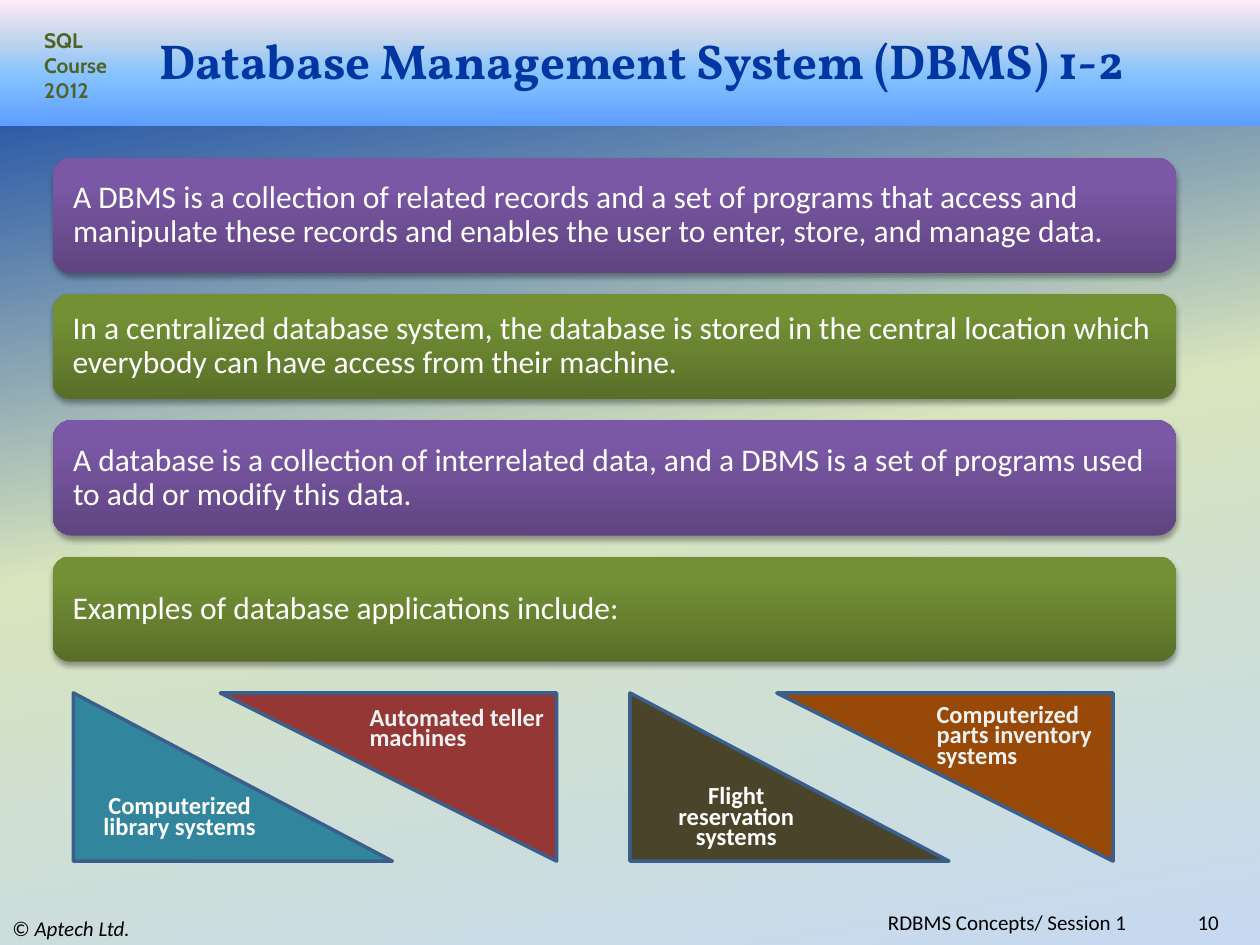
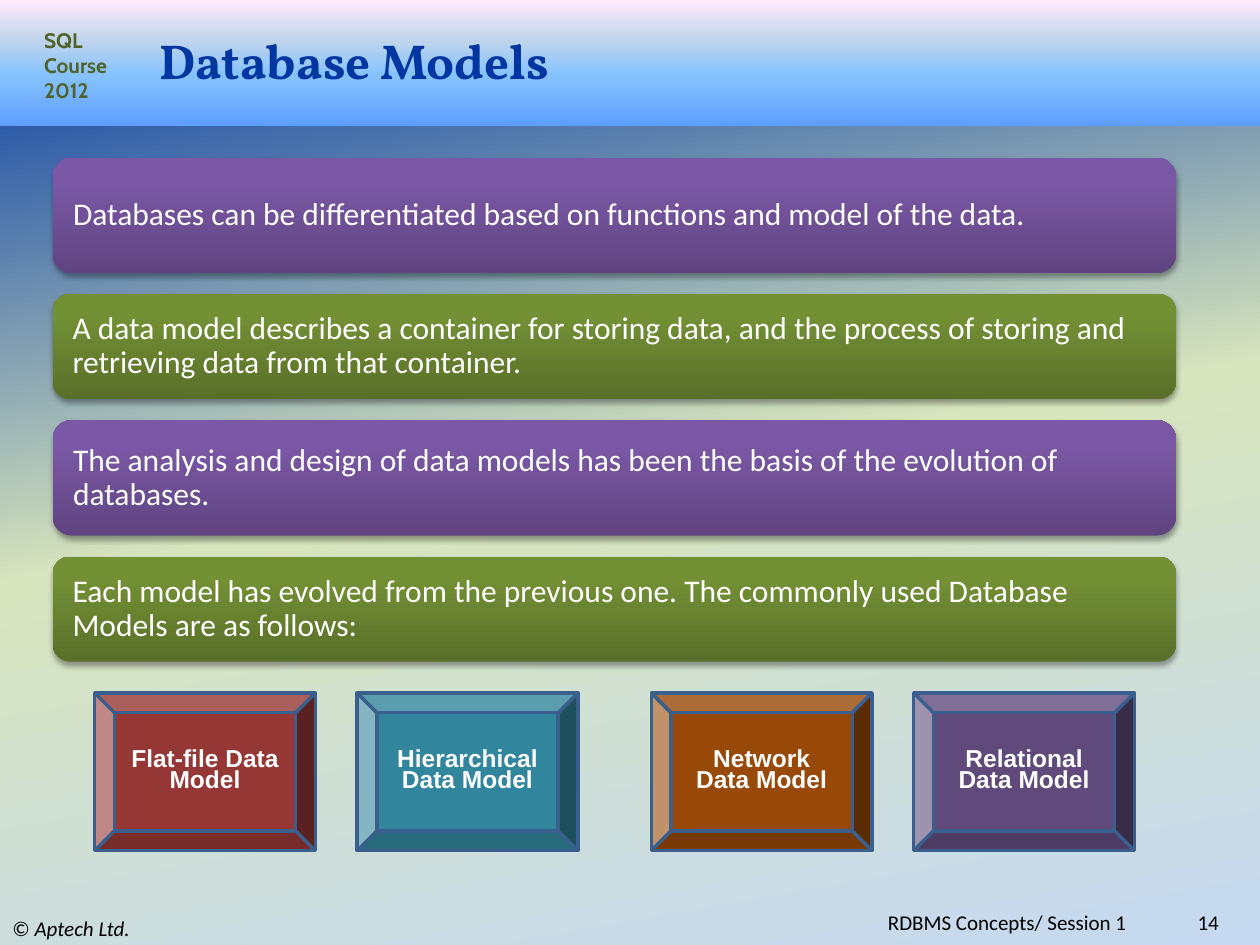
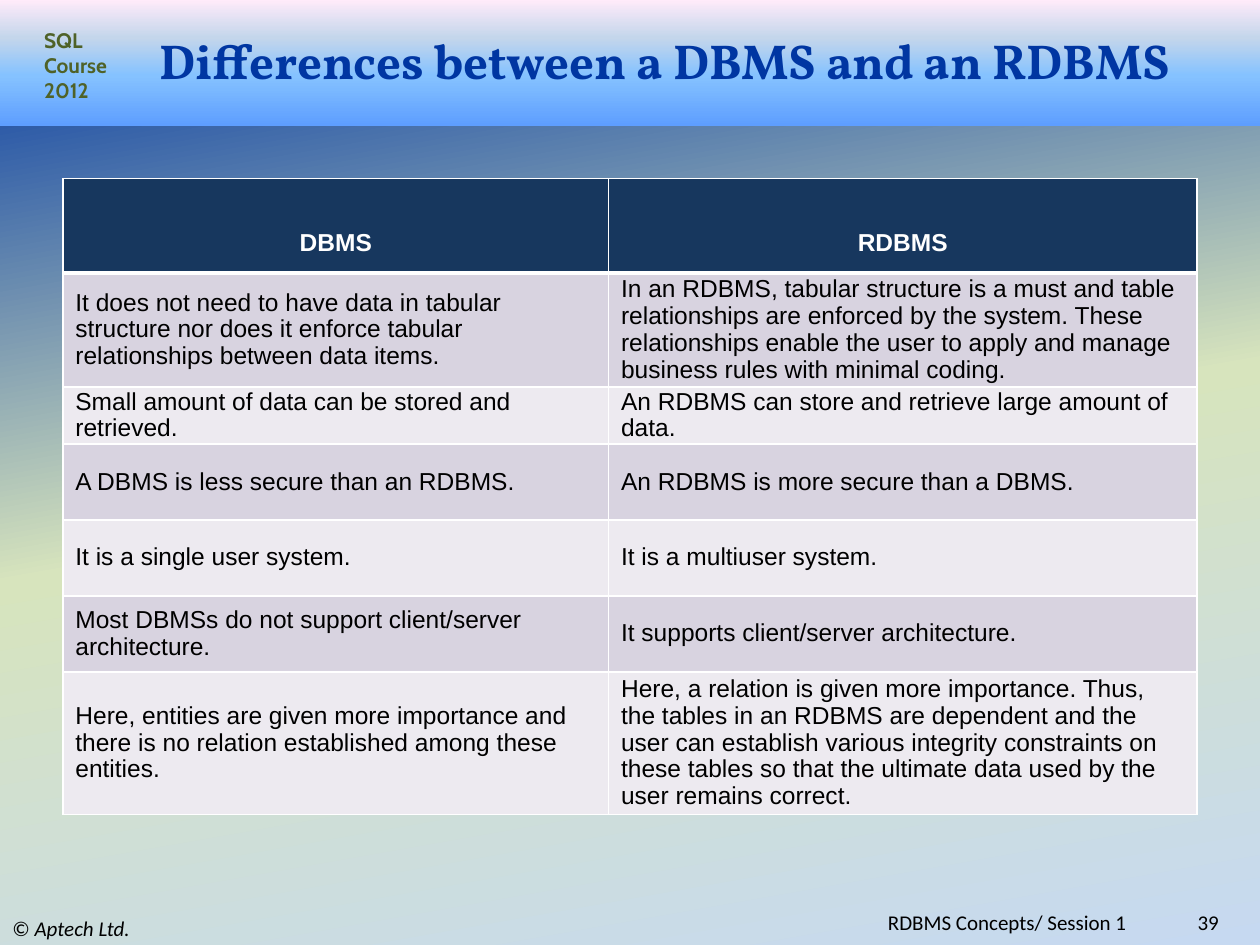
from lxml import etree
from pptx import Presentation
from pptx.dml.color import RGBColor
from pptx.enum.shapes import MSO_SHAPE
from pptx.enum.text import MSO_ANCHOR, PP_ALIGN
from pptx.oxml import parse_xml
from pptx.oxml.ns import nsdecls, qn
from pptx.util import Cm, Pt

LEFT, CENTER, RIGHT = PP_ALIGN.LEFT, PP_ALIGN.CENTER, PP_ALIGN.RIGHT
TOP, MIDDLE, BOTTOM = MSO_ANCHOR.TOP, MSO_ANCHOR.MIDDLE, MSO_ANCHOR.BOTTOM
RECTANGLE, ROUNDED = MSO_SHAPE.RECTANGLE, MSO_SHAPE.ROUNDED_RECTANGLE
TRIANGLE, BEVEL = MSO_SHAPE.RIGHT_TRIANGLE, MSO_SHAPE.BEVEL

COLORS = {
    "title": "0036A2", "course": "4F6228", "black": "000000", "white": "FFFFFF",
    "pale": "F2F2F2", "outline": "3A5F8C", "teal": "31859C", "red": "953735",
    "olive": "4A452A", "brown": "984807", "violet": "604A7B",
    "header": "17375E", "row dark": "D8D3E0", "row light": "EDEAF0",
}
GRADIENTS = {
    "page": [(0, "0036A2"), (50, "D7E4BD"), (100, "C6D9F1")],
    "band": [(0, "5E9EFF"), (40, "85C2FF"), (70, "C4D6EB"), (100, "FFEBFA")],
    "purple": [(0, "5F4480"), (80, "7B58A6"), (100, "7C57A8")],
    "green": [(0, "596F29"), (80, "739035"), (100, "749334")],
}
FONTS = {
    "title": {"name": "Vollkorn", "size": Pt(28), "bold": True},
    "course": {"name": "Cabin", "size": Pt(12), "bold": True},
    "footer": {"name": "Calibri", "size": Pt(12)},
    "bar": {"name": "Calibri", "size": Pt(18)},
    "example": {"name": "Calibri", "size": Pt(14), "bold": True},
    "model": {"name": "Arial", "size": Pt(14), "bold": True},
    "cell": {"name": "Arial", "size": Pt(14), "bold": False},
}
BAR_TIGHT, LABEL_TIGHT, CELL_TIGHT = 0.9, 0.7, 0.97

BAR_LEFT, BAR_TOP, BAR_WIDTH, BAR_GAP = 1.06, 3.18, 22.65, 0.42
BAR_STYLES = [("purple", 2.33), ("green", 2.12)]
FIGURE_TOP = 13.97
PAIR_STEP = 11.22


def set_all(target, values):
    for name, value in values.items():
        setattr(target, name, value)


def fill_gradient(fill, element, stops, angle):
    """Give a fill any number of stops; the angle runs counterclockwise."""
    fill.gradient()
    fill.gradient_angle = angle
    stop_list = next(element.iter(qn("a:gsLst")))
    for stop in list(stop_list):
        stop_list.remove(stop)
    for position, color in stops:
        stop = etree.SubElement(stop_list, qn("a:gs"), pos=str(position * 1000))
        etree.SubElement(stop, qn("a:srgbClr"), val=color)


class Deck:
    def __init__(self):
        self.presentation = Presentation()
        set_all(self.presentation, {"slide_width": Cm(25.4), "slide_height": Cm(19.05)})
        self.slide = None

    def put_text(self, frame, text, font, color, align=LEFT, spacing=None):
        """Put one paragraph in a frame; text may be a list of (words, italic)."""
        para = frame.paragraphs[0]
        set_all(para, {"alignment": align, "line_spacing": spacing})
        spans = [(text, False)] if isinstance(text, str) else text
        for words, italic in spans:
            span = para.add_run()
            span.text = words
            set_all(span.font, {**FONTS[font], "italic": italic})
            span.font.color.rgb = RGBColor.from_string(COLORS[color])

    def label(self, place, text, font, color, anchor=TOP, **layout):
        box = self.slide.shapes.add_textbox(*map(Cm, place))
        set_all(box.text_frame, {"word_wrap": True, "vertical_anchor": anchor})
        self.put_text(box.text_frame, text, font, color, **layout)

    def shape(self, kind, place, margin=None):
        box = self.slide.shapes.add_shape(kind, *map(Cm, place))
        box.shadow.inherit = False
        box.line.fill.background()
        set_all(box.text_frame, {"word_wrap": True, "vertical_anchor": MIDDLE})
        if margin is not None:
            sides = ("margin_left", "margin_top", "margin_right", "margin_bottom")
            set_all(box.text_frame, dict.fromkeys(sides, Cm(margin)))
        return box

    def gradient_shape(self, kind, place, gradient, margin=None):
        box = self.shape(kind, place, margin)
        fill_gradient(box.fill, box.element, GRADIENTS[gradient], 90)
        return box

    def outlined_shape(self, kind, place, color, margin=None):
        box = self.shape(kind, place, margin)
        box.fill.solid()
        box.fill.fore_color.rgb = RGBColor.from_string(COLORS[color])
        box.line.color.rgb = RGBColor.from_string(COLORS["outline"])
        box.line.width = Pt(2)
        return box

    def start_slide(self, title, number):
        """Add a slide with the background, band, title and footers."""
        self.slide = self.presentation.slides.add_slide(self.presentation.slide_layouts[6])
        fill_gradient(self.slide.background.fill, self.slide.element, GRADIENTS["page"], 280)
        self.gradient_shape(RECTANGLE, (0, 0, 25.4, 2.54), "band")
        self.label((0.64, 0.43, 1.9, 1.8), "SQL Course 2012", "course", "course")
        self.label((2.97, 0.64, 21.6, 1.14), title, "title", "title", MIDDLE)
        self.label((0, 18.36, 8.46, 0.69), [("© ", False), ("Aptech Ltd.", True)],
                   "footer", "black", MIDDLE)
        self.label((6.35, 18.36, 16.61, 0.46), "RDBMS Concepts/ Session 1",
                   "footer", "black", MIDDLE, align=RIGHT)
        self.label((22.66, 18.36, 2.16, 0.46), str(number),
                   "footer", "black", MIDDLE, align=RIGHT)

    def bars(self, texts):
        """Stack shadowed bars in alternating styles."""
        top = BAR_TOP
        for index, text in enumerate(texts):
            gradient, height = BAR_STYLES[index % 2]
            bar = self.gradient_shape(ROUNDED, (BAR_LEFT, top, BAR_WIDTH, height), gradient, 0.3)
            bar.element.spPr.find(qn("a:effectLst")).append(parse_xml(
                f'<a:outerShdw {nsdecls("a")} blurRad="{Pt(3.1)}" dist="{Pt(1.8)}" '
                'dir="5400000" rotWithShape="0"><a:srgbClr val="000000">'
                '<a:alpha val="35000"/></a:srgbClr></a:outerShdw>'))
            self.put_text(bar.text_frame, text, "bar", "white", spacing=BAR_TIGHT)
            top += height + BAR_GAP

    def triangle_pair(self, left, lower, upper, label_place):
        """Draw two facing triangles; lower and upper are (text, color)."""
        text, color = lower
        box = self.outlined_shape(TRIANGLE, (left, FIGURE_TOP, 6.43, 3.39), color, 0)
        self.put_text(box.text_frame, text, "example", "white", CENTER, LABEL_TIGHT)
        text, color = upper
        box = self.outlined_shape(TRIANGLE, (left + 2.96, FIGURE_TOP, 6.78, 3.39), color)
        box.rotation = 180
        self.label(label_place, text, "example", "pale", spacing=LABEL_TIGHT)

    def bevel(self, left, text, color):
        box = self.outlined_shape(BEVEL, (left, FIGURE_TOP, 4.45, 3.18), color)
        self.put_text(box.text_frame, text, "model", "white", CENTER, LABEL_TIGHT)

    def border(self, cell, row):
        """Rule a cell in white, thicker under the header row."""
        properties = cell._tc.get_or_add_tcPr()
        for side in "LRTB":
            width = Pt(3) if (row, side) in ((0, "B"), (1, "T")) else Pt(1)
            line = etree.SubElement(properties, qn(f"a:ln{side}"), w=str(width))
            solid = etree.SubElement(line, qn("a:solidFill"))
            etree.SubElement(solid, qn("a:srgbClr"), val=COLORS["white"])

    def table(self, place, widths, heights, rows):
        size = (sum(widths), sum(heights))
        table = self.slide.shapes.add_table(
            len(rows), len(widths), *map(Cm, place + size)).table
        for column, width in zip(table.columns, widths):
            column.width = Cm(width)
        for index, (texts, height) in enumerate(zip(rows, heights)):
            table.rows[index].height = Cm(height)
            header = index == 0
            color = "header" if header else ("row light", "row dark")[index % 2]
            for cell, text in zip(table.rows[index].cells, texts):
                self.border(cell, index)
                set_all(cell, {
                    "margin_left": Cm(0.25), "margin_right": Cm(0.25), "margin_top": 0,
                    "margin_bottom": Cm(0.32 if header else 0),
                    "vertical_anchor": BOTTOM if header else MIDDLE,
                })
                cell.fill.solid()
                cell.fill.fore_color.rgb = RGBColor.from_string(COLORS[color])
                if header:
                    self.put_text(cell.text_frame, text, "model", "white", CENTER, CELL_TIGHT)
                else:
                    self.put_text(cell.text_frame, text, "cell", "black", spacing=CELL_TIGHT)


def add_dbms_slide(deck):
    deck.start_slide("Database Management System (DBMS) 1-2", 10)
    deck.bars([
        "A DBMS is a collection of related records and a set of programs that access and "
        "manipulate these records and enables the user to enter, store, and manage data.",
        "In a centralized database system, the database is stored in the central location "
        "which everybody can have access from their machine.",
        "A database is a collection of interrelated data, and a DBMS is a set of programs "
        "used to add or modify this data.",
        "Examples of database applications include:",
    ])
    left = 1.48
    deck.triangle_pair(left, ("Computerized library systems", "teal"),
                       ("Automated teller machines", "red"), (7.2, 14.18, 4.02, 1.1))
    deck.triangle_pair(left + PAIR_STEP, ("Flight reservation systems", "olive"),
                       ("Computerized parts inventory systems", "brown"),
                       (18.63, 14.12, 3.81, 1.55))


def add_models_slide(deck):
    deck.start_slide("Database Models", 14)
    deck.bars([
        "Databases can be differentiated based on functions and model of the data.",
        "A data model describes a container for storing data, and the process of storing "
        "and retrieving data from that container.",
        "The analysis and design of data models has been the basis of the evolution of "
        "databases.",
        "Each model has evolved from the previous one. The commonly used Database Models "
        "are as follows:",
    ])
    models = [("Flat-file Data Model", "red"), ("Hierarchical Data Model", "teal"),
              ("Network Data Model", "brown"), ("Relational Data Model", "violet")]
    for index, (text, color) in enumerate(models):
        pair, member = divmod(index, 2)
        deck.bevel(1.91 + pair * PAIR_STEP + member * 5.29, text, color)


def add_differences_slide(deck):
    deck.start_slide("Differences between a DBMS and an RDBMS", 39)
    deck.table((1.27, 3.6), (11, 11.86), (1.9, 2.22, 1.11, 1.53, 1.53, 1.53, 2.76), [
        ("DBMS", "RDBMS"),
        ("It does not need to have data in tabular structure nor does it enforce tabular "
         "relationships between data items.",
         "In an RDBMS, tabular structure is a must and table relationships are enforced by "
         "the system. These relationships enable the user to apply and manage business "
         "rules with minimal coding."),
        ("Small amount of data can be stored and retrieved.",
         "An RDBMS can store and retrieve large amount of data."),
        ("A DBMS is less secure than an RDBMS.", "An RDBMS is more secure than a DBMS."),
        ("It is a single user system.", "It is a multiuser system."),
        ("Most DBMSs do not support client/server architecture.",
         "It supports client/server architecture."),
        ("Here, entities are given more importance and there is no relation established "
         "among these entities.",
         "Here, a relation is given more importance. Thus, the tables in an RDBMS are "
         "dependent and the user can establish various integrity constraints on these "
         "tables so that the ultimate data used by the user remains correct."),
    ])


def main():
    deck = Deck()
    add_dbms_slide(deck)
    add_models_slide(deck)
    add_differences_slide(deck)
    deck.presentation.save("out.pptx")


if __name__ == "__main__":
    main()
